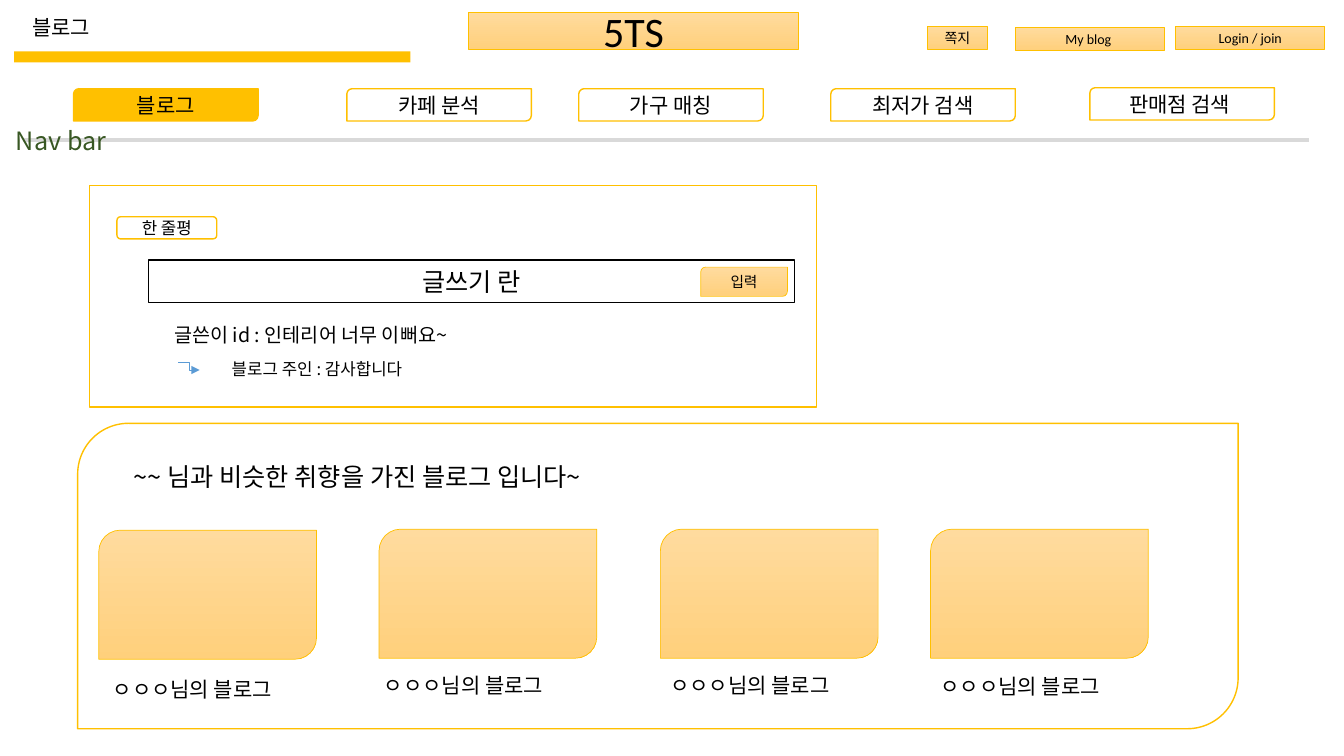
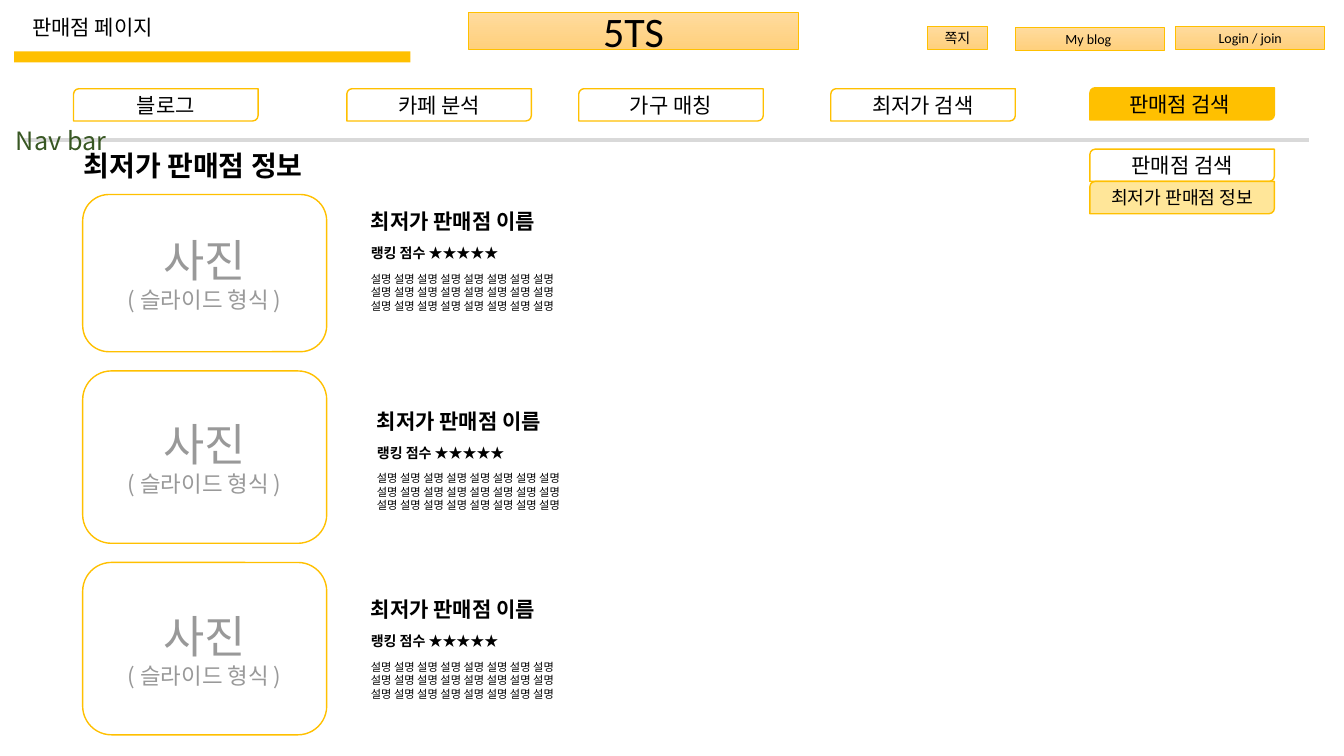
from lxml import etree
from pptx import Presentation
from pptx.dml.color import RGBColor
from pptx.enum.shapes import MSO_CONNECTOR, MSO_SHAPE
from pptx.enum.text import MSO_ANCHOR, PP_ALIGN
from pptx.oxml.ns import qn
from pptx.util import Inches, Pt

RECT = MSO_SHAPE.RECTANGLE
ROUND = MSO_SHAPE.ROUNDED_RECTANGLE
LEAF = MSO_SHAPE.ROUND_2_DIAG_RECTANGLE
ELBOW = MSO_CONNECTOR.ELBOW
TOP, MIDDLE = MSO_ANCHOR.TOP, MSO_ANCHOR.MIDDLE
LEFT, CENTER = PP_ALIGN.LEFT, PP_ALIGN.CENTER

FONT, TITLE_FONT, BUTTON_FONT = "Noto Sans CJK KR", "Roboto", "Calibri"
AMBER, PALE_AMBER, WHITE, BLACK = "FFC000", "FFE699", "FFFFFF", "000000"
GREY, SILVER, GREEN, BLUE = "999999", "D9D9D9", "385723", "5B9BD5"
PEACH = ("FFDB9E", "FFD07C")

TAB_SIZE = (1.83, 0.32)
TABS = [
    ("블로그", 0.73, 0.88),
    ("카페 분석", 3.44, 0.88),
    ("가구 매칭", 5.74, 0.88),
    ("최저가 검색", 8.24, 0.88),
    ("판매점 검색 ", 10.81, 0.87),
]
BUTTONS = [
    ("쪽지", 9.2, 0.26, 0.59),
    ("My blog ", 10.07, 0.27, 1.48),
    ("Login / join", 11.66, 0.26, 1.48),
]
BLOGS = [(0.98, 5.26, 1.02, 6.69), (3.76, 5.25, 3.71, 6.65),
         (6.55, 5.25, 6.55, 6.65), (9.23, 5.25, 9.23, 6.66)]
STORES = [(1.93, 1.56, 3.58, 2.02), (3.68, 1.71, 3.64, 4.0), (5.58, 1.71, 3.58, 5.87)]


def color(code):
    return RGBColor.from_string(code)


class Wireframe:
    """Holds the style of the deck and draws on the current page."""

    def __init__(self):
        self.deck = Presentation()
        self.deck.slide_width = Inches(13.33)
        self.deck.slide_height = Inches(7.5)
        self.page = None

    def set_text(self, frame, lines, ink=BLACK, font=FONT, bold=False, align=LEFT, anchor=TOP):
        frame.word_wrap = True
        frame.vertical_anchor = anchor
        for index, (text, size) in enumerate(lines):
            para = frame.paragraphs[0] if index == 0 else frame.add_paragraph()
            para.text = text
            para.alignment = align
            para.font.size = Pt(size)
            para.font.bold = bold
            para.font.color.rgb = color(ink)
            para.font.name = font
            defaults = para._p.pPr.find(qn("a:defRPr"))
            etree.SubElement(defaults, qn("a:ea"), typeface=FONT)

    def label(self, at, text, size, **style):
        box = self.page.shapes.add_textbox(*map(Inches, at))
        self.set_text(box.text_frame, [(text, size)], **style)
        return box.text_frame

    def shape(self, kind, at, fill=WHITE, line=AMBER, width=1, lines=(), **style):
        shape = self.page.shapes.add_shape(kind, *map(Inches, at))
        shape.shadow.inherit = False
        if fill == PEACH:
            shape.fill.gradient()
            shape.fill.gradient_angle = 270
            for stop, code in zip(shape.fill.gradient_stops, PEACH):
                stop.color.rgb = color(code)
        else:
            shape.fill.solid()
            shape.fill.fore_color.rgb = color(fill)
        if line:
            shape.line.color.rgb = color(line)
            shape.line.width = Pt(width)
        else:
            shape.line.fill.background()
        self.set_text(shape.text_frame, lines, align=CENTER, anchor=MIDDLE, **style)

    def button(self, kind, at, lines=(), font=BUTTON_FONT):
        self.shape(kind, at, PEACH, width=0.5, lines=lines, font=font)

    def tab(self, text, left, top, fill=WHITE, size=15):
        self.shape(LEAF, (left, top, *TAB_SIZE), fill, lines=[(text, size)])

    def arrow(self, start, end):
        arrow = self.page.shapes.add_connector(ELBOW, *map(Inches, start + end))
        arrow.line.color.rgb = color(BLUE)
        arrow.line.width = Pt(0.5)
        properties = arrow._element.spPr
        etree.SubElement(properties.find(qn("a:ln")), qn("a:tailEnd"), type="triangle")
        etree.SubElement(properties, qn("a:effectLst"))

    def new_page(self, title, active):
        self.page = self.deck.slides.add_slide(self.deck.slide_layouts[6])
        heading = self.label((0.22, 0.08, 2.95, 0.41), title, 15, font=TITLE_FONT, anchor=MIDDLE)
        heading.paragraphs[0].line_spacing = 0.9
        self.shape(RECT, (0.14, 0.51, 3.93, 0.11), AMBER, None)
        self.button(RECT, (4.65, 0.12, 3.27, 0.37), [("5TS", 30)])
        for text, left, top, width in BUTTONS:
            self.button(RECT, (left, top, width, 0.23), [(text, 10)])
        for index, (text, left, top) in enumerate(TABS):
            self.tab(text, left, top, AMBER if index == active else WHITE)
        self.shape(RECT, (0.22, 1.36, 12.77, 0.06), SILVER, WHITE, 1.5)
        self.label((0.06, 1.19, 1.11, 0.4), "Nav bar", 18, ink=GREEN).word_wrap = False


def blog_page(wire):
    wire.new_page("블로그", 0)
    wire.shape(LEAF, (0.77, 4.2, 11.51, 3.03))
    wire.shape(RECT, (0.89, 1.84, 7.21, 2.2))
    wire.shape(ROUND, (1.16, 2.15, 0.99, 0.22), lines=[("한 줄평", 12)])
    wire.shape(RECT, (1.47, 2.58, 6.41, 0.42), line=BLACK, lines=[("글쓰기 란", 18)])
    wire.button(LEAF, (6.95, 2.65, 0.86, 0.29), [("입력", 10.5)], FONT)
    wire.label((1.63, 3.21, 6.18, 0.23), "글쓴이 id : 인테리어 너무 이뻐요~", 14, anchor=MIDDLE)
    wire.label((2.2, 3.54, 5.6, 0.24), "블로그 주인 : 감사합니다", 12, anchor=MIDDLE)
    wire.arrow((1.77, 3.59), (1.98, 3.67))
    wire.label((1.23, 4.65, 7.32, 0.15), "~~ 님과 비슷한 취향을 가진 블로그 입니다~", 18, anchor=MIDDLE)
    for left, top, name_left, name_top in BLOGS:
        wire.button(LEAF, (left, top, 2.16, 1.28))
        wire.label((name_left, name_top, 1.94, 0.3), "ㅇㅇㅇ님의 블로그", 15, anchor=MIDDLE)


def store_page(wire):
    wire.new_page("판매점 페이지", 4)
    wire.label((0.73, 1.42, 3.01, 0.44), "최저가 판매점 정보", 20, bold=True)
    wire.tab("판매점 검색", 10.81, 1.48)
    wire.tab("최저가 판매점 정보", 10.81, 1.8, PALE_AMBER, 13)
    for top, height, left, name_top in STORES:
        wire.shape(ROUND, (0.82, top, 2.42, height),
                   lines=[("사진", 32), ("( 슬라이드 형식 )", 16)], ink=GREY)
        wire.label((left, name_top, 2.16, 0.35), "최저가 판매점 이름", 15, bold=True)
        wire.label((left, name_top + 0.36, 1.78, 0.69), "랭킹 점수 ★★★★★", 10, bold=True)
        wire.label((left, name_top + 0.63, 2.16, 0.5), " ".join(["설명"] * 24), 8)


def main():
    wire = Wireframe()
    blog_page(wire)
    store_page(wire)
    wire.deck.save("out.pptx")


if __name__ == "__main__":
    main()
